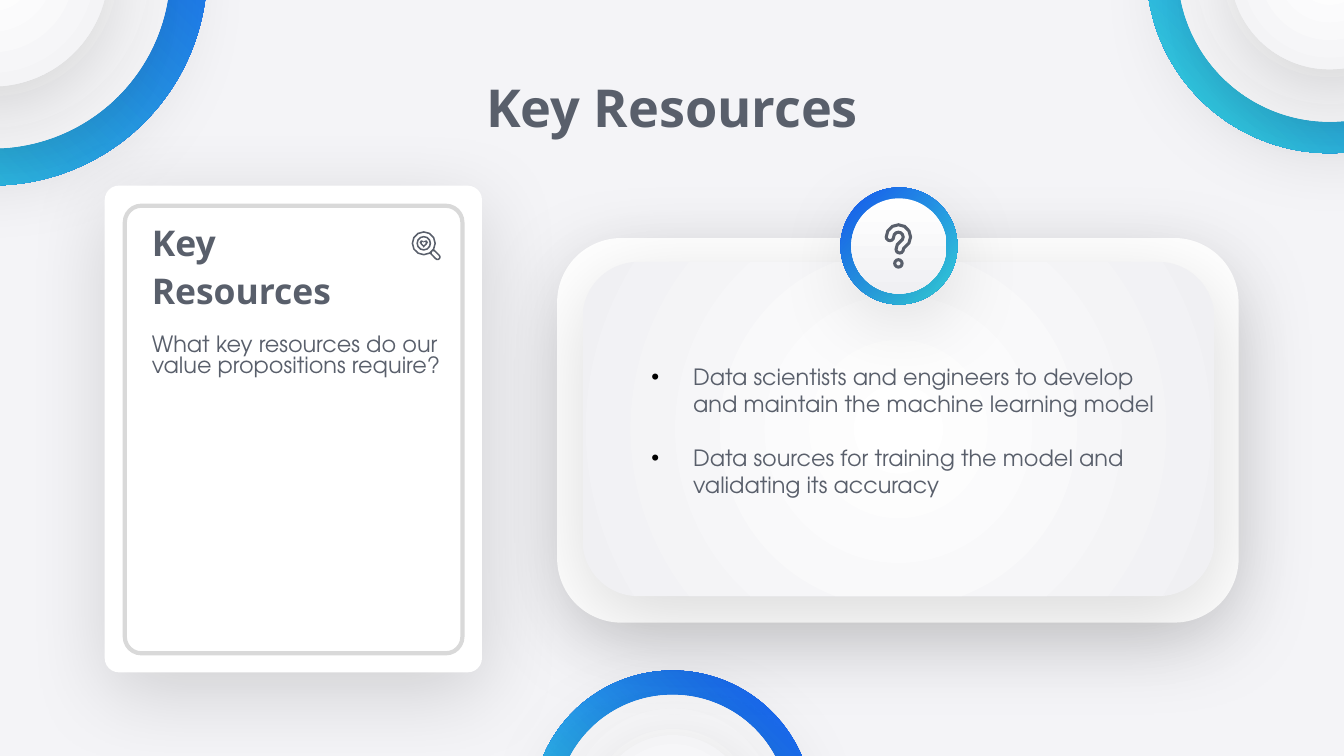
import math

from lxml import etree
from pptx import Presentation
from pptx import util as u
from pptx.dml.color import RGBColor
from pptx.enum import shapes, text
from pptx.oxml import ns

COLORS = {
    "background": "F4F4F7", "ink": "595F6B", "white": "FFFFFF", "pale": "F0F0F3",
    "blue": "1658F1", "cyan": "36DBE0", "frame": "D9D9D9", "black": "000000",
}
HEADING, BODY = "Noto Sans", "TeX Gyre Adventor"
ACCENT, SOFT = ("blue", "cyan"), ("white", "pale")
NO_TABLE_STYLE = "{2D5ABB26-0587-4C30-8999-92F81FD0307C}"


def rgb(name):
    return RGBColor.from_string(COLORS[name])


def add_xml(parent, tag, **attributes):
    return etree.SubElement(parent, ns.qn(tag), {k: str(v) for k, v in attributes.items()})


def fill_gradient(shape, names, angle):
    """Linear gradient, or a circular one from the centre when angle is None."""
    shape.fill.gradient()
    for stop, name in zip(shape.fill.gradient_stops, names):
        stop.color.rgb = rgb(name)
    if angle is not None:
        shape.fill.gradient_angle = angle
        return
    grad = shape.element.spPr.find(ns.qn("a:gradFill"))
    grad.remove(grad.find(ns.qn("a:lin")))
    circle = add_xml(grad, "a:path", path="circle")
    add_xml(circle, "a:fillToRect", l=50000, t=50000, r=50000, b=50000)


def add_soft_shadow(shape):
    effects = shape.element.spPr.find(ns.qn("a:effectLst"))
    shadow = add_xml(effects, "a:outerShdw", blurRad=u.Pt(45), dist=u.Pt(11.2),
                     dir=85 * 60000, algn="ctr", rotWithShape=0)
    color = add_xml(shadow, "a:srgbClr", val=COLORS["black"])
    add_xml(color, "a:alpha", val=15000)


def add_figure(page, kind, place, fill=None, gradient=None, angle=None,
               line=None, corner=None, shadow=False):
    shape = page.shapes.add_shape(kind, *map(u.Cm, place))
    shape.shadow.inherit = False
    if corner is not None:
        shape.adjustments[0] = corner
    if gradient:
        fill_gradient(shape, gradient, angle)
    elif fill:
        shape.fill.solid()
        shape.fill.fore_color.rgb = rgb(fill)
    else:
        shape.fill.background()
    if line:
        shape.line.color.rgb = rgb(line)
        shape.line.width = u.Pt(2.25)
    else:
        shape.line.fill.background()
    if shadow:
        add_soft_shadow(shape)
    return shape


def add_card(page, place, corner, **style):
    return add_figure(page, shapes.MSO_SHAPE.ROUNDED_RECTANGLE, place, corner=corner, **style)


def add_disc(page, center, size, **style):
    place = (center[0] - size / 2, center[1] - size / 2, size, size)
    return add_figure(page, shapes.MSO_SHAPE.OVAL, place, **style)


def add_corner_rings(page, center, sizes):
    ring = add_disc(page, center, sizes[0], gradient=ACCENT, angle=315)
    ring.rotation = 90
    for size in sizes[1:]:
        add_disc(page, center, size, gradient=SOFT, shadow=True).rotation = 90


def write(para, words, font=BODY, size=12, bold=False, align=None, before=0, spacing=1.0):
    span = para.add_run()
    span.text = words
    span.font.name, span.font.size, span.font.bold = font, u.Pt(size), bold
    span.font.color.rgb = rgb("ink")
    para.alignment = align
    para.space_before = u.Pt(before)
    para.line_spacing = spacing


def add_bullet(para):
    props = para._p.get_or_add_pPr()
    props.set("marL", str(u.Cm(0.79)))
    props.set("indent", str(-u.Cm(0.79)))
    add_xml(add_xml(props, "a:buClr"), "a:srgbClr", val=COLORS["black"])
    add_xml(props, "a:buFont", typeface="Arial")
    add_xml(props, "a:buChar", char="•")


def next_para(frame, index):
    return frame.add_paragraph() if index else frame.paragraphs[0]


def place_text(box, place, anchor):
    """Move a placeholder to the front and set its frame."""
    box.left, box.top, box.width, box.height = map(u.Cm, place)
    box.element.getparent().append(box.element)
    frame = box.text_frame
    frame.word_wrap, frame.auto_size = True, text.MSO_AUTO_SIZE.NONE
    frame.vertical_anchor = anchor
    frame.margin_left = frame.margin_right = u.Cm(0.25)
    frame.margin_top = frame.margin_bottom = u.Cm(0.25)
    return frame


def add_question_table(page):
    table = page.shapes.add_table(1, 1, *map(u.Cm, (2.36, 3.89, 6.38, 3.91))).table
    table.first_row = table.horz_banding = False
    table._tbl.tblPr.find(ns.qn("a:tableStyleId")).text = NO_TABLE_STYLE
    cell = table.cell(0, 0)
    cell.fill.background()
    cell.margin_left = u.Cm(0.51)
    cell.margin_right = cell.margin_top = cell.margin_bottom = u.Cm(0.25)
    for index, words in enumerate(("Key", "Resources")):
        write(next_para(cell.text_frame, index), words, font=HEADING, size=19, bold=True)
    write(cell.text_frame.add_paragraph(),
          "What key resources do our value propositions require?",
          before=10.5, spacing=u.Pt(11.5))


def arc(center, radius, start=0, end=360):
    """Points along an arc, in degrees clockwise from the right."""
    steps = max(2, round(abs(end - start) / 30))
    angles = [math.radians(start + (end - start) * i / steps) for i in range(steps + 1)]
    return [(center[0] + radius * math.cos(a), center[1] + radius * math.sin(a)) for a in angles]


def hook(center, half_width):
    """Outline of the question mark's stroke."""
    x, y = center
    big, small = 0.16, 0.11
    turn = (x + (big + small) * math.cos(math.pi / 3), y + (big + small) * math.sin(math.pi / 3))
    return (arc(center, big + half_width, 180, 420) + arc(turn, small - half_width, 240, 180)
            + arc((turn[0] - small, turn[1]), half_width, 0, 180)
            + arc(turn, small + half_width, 180, 240) + arc(center, big - half_width, 420, 180)
            + arc((x - big, y), half_width, 0, 180))


def heart(center, half_width):
    points = []
    for step in range(12):
        a = step * math.pi / 6
        rise = 13 * math.cos(a) - 5 * math.cos(2 * a) - 2 * math.cos(3 * a) - math.cos(4 * a)
        points.append((center[0] + half_width * math.sin(a) ** 3,
                       center[1] - half_width * rise / 16))
    return points


def add_icon(page, parts):
    """Group of filled outlines; later contours of a part are holes."""
    group = page.shapes.add_group_shape()
    for contours in parts:
        paths = [[(u.Cm(x), u.Cm(y)) for x, y in contour] for contour in contours]
        builder = group.shapes.build_freeform(*paths[0][0])
        builder.add_line_segments(paths[0][1:], close=True)
        for points in paths[1:]:
            builder.move_to(*points[0])
            builder.add_line_segments(points[1:], close=True)
        shape = builder.convert_to_shape()
        shape.shadow.inherit = False
        shape.fill.solid()
        shape.fill.fore_color.rgb = rgb("ink")
        shape.line.fill.background()


def main():
    deck = Presentation()
    deck.slide_width, deck.slide_height = u.Cm(25.4), u.Cm(14.29)
    page = deck.slides.add_slide(deck.slide_layouts[1])
    page.background.fill.solid()
    page.background.fill.fore_color.rgb = rgb("background")

    add_corner_rings(page, (-0.15, -0.56), (8.13, 6.73, 4.39))
    add_corner_rings(page, (25.13, -0.57), (6.93, 5.74, 3.76))
    add_corner_rings(page, (12.71, 15.33), (5.31, 4.39, 2.87))

    add_card(page, (1.98, 3.51, 7.13, 9.2), 0.038, fill="white", shadow=True)
    add_card(page, (2.36, 3.89, 6.38, 8.46), 0.049, line="frame")
    add_card(page, (10.53, 4.5, 12.88, 7.27), 0.167, fill="white", shadow=True)
    add_card(page, (11.01, 4.95, 11.94, 6.32), 0.167, gradient=SOFT, shadow=True)
    badge = (16.99, 4.65)
    add_disc(page, badge, 2.21, gradient=ACCENT, angle=315)
    add_disc(page, badge, 1.8, gradient=SOFT, angle=270, shadow=True)
    add_question_table(page)

    title = place_text(page.shapes.title, (1.98, 1.5, 21.44, 1.04), text.MSO_ANCHOR.MIDDLE)
    write(title.paragraphs[0], "Key Resources", font=HEADING, size=28, bold=True,
          align=text.PP_ALIGN.CENTER)
    resources = place_text(page.placeholders[1], (12.06, 6.62, 10.41, 3.05), text.MSO_ANCHOR.TOP)
    for index, words in enumerate((
            "Data scientists and engineers to develop and maintain the machine learning model",
            "Data sources for training the model and validating its accuracy")):
        para = next_para(resources, index)
        write(para, words, before=14.4 * index)
        add_bullet(para)

    bend, dot = (16.98, 4.48), (16.98, 4.98)
    add_icon(page, [[hook(bend, 0.1), hook(bend, 0.04)], [arc(dot, 0.1), arc(dot, 0.04)]])
    lens, grip, tip = (8.01, 4.6), (8.19, 4.78), (8.27, 4.86)
    add_icon(page, [
        [arc(lens, 0.23, 60, 390) + arc(tip, 0.06, -45, 135), arc(lens, 0.2),
         arc(grip, 0.03, 135, 315) + arc(tip, 0.03, -45, 135)],
        [arc(lens, 0.14), arc(lens, 0.11)],
        [heart(lens, 0.08), heart(lens, 0.04)],
    ])
    deck.save("out.pptx")


if __name__ == "__main__":
    main()
